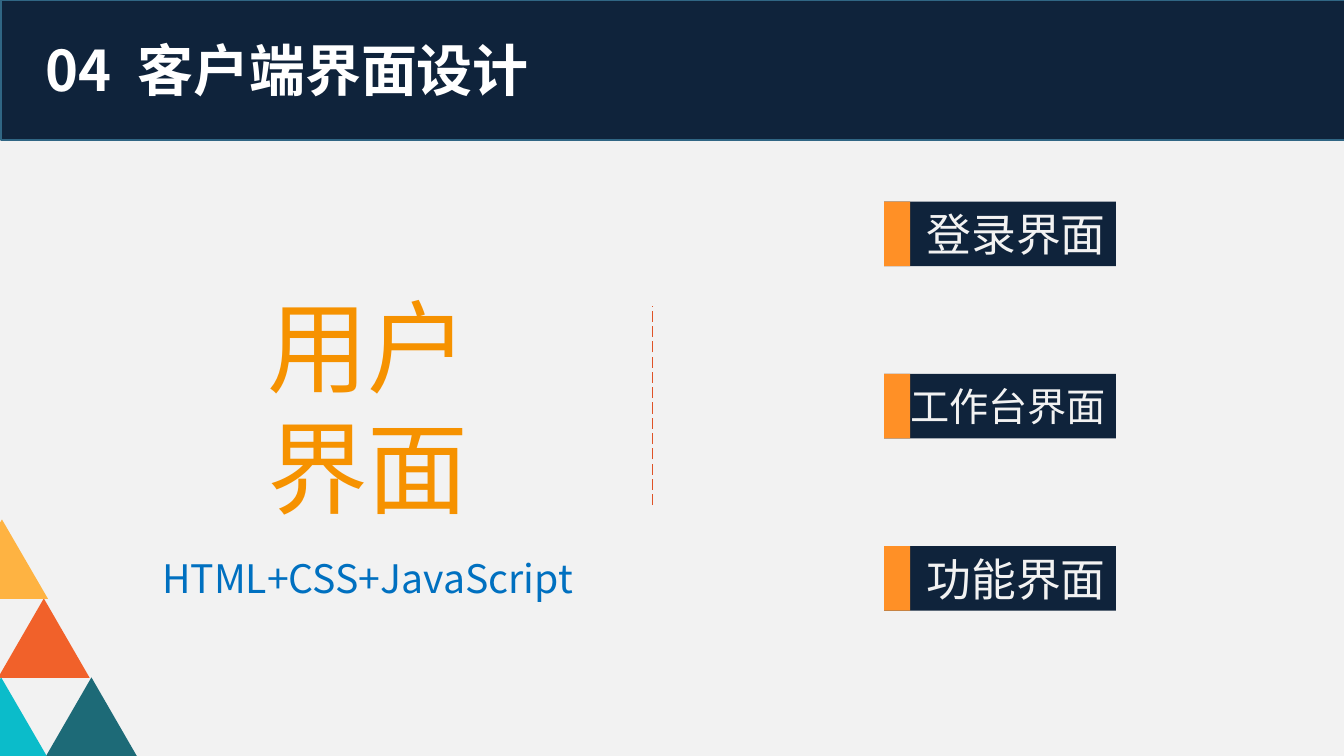
"""Builds the slide on client interface design."""
from lxml.etree import SubElement
from pptx import Presentation
from pptx.dml.color import RGBColor
from pptx.enum.dml import MSO_LINE_DASH_STYLE as Dash
from pptx.enum.shapes import MSO_CONNECTOR as Connector, MSO_SHAPE as Shape
from pptx.enum.text import MSO_ANCHOR as Anchor, PP_ALIGN as Align
from pptx.oxml.ns import qn
from pptx.util import Cm, Pt

COLORS = {
    "paper": "F2F2F2", "navy": "0F233B", "rim": "306684", "pine": "1D6A77",
    "red": "F1612A", "cyan": "0BBCCA", "yellow": "FEB342", "headline": "F69200",
    "divider": "DF5327", "tab": "FF9026", "white": "FFFFFF", "blue": "0070C0",
}
FONT = "Noto Sans CJK SC"


def color(name):
    return RGBColor.from_string(COLORS[name])


class SlideBuilder:
    def __init__(self, slide):
        self.slide = slide
        self.shapes = slide.shapes

    def background(self, fill):
        self.slide.background.fill.solid()
        self.slide.background.fill.fore_color.rgb = color(fill)

    def paint(self, shape, fill, rim=None):
        shape.shadow.inherit = False
        shape.fill.solid()
        shape.fill.fore_color.rgb = color(fill)
        if rim:
            shape.line.color.rgb = color(rim)
            shape.line.width = Pt(1)
        else:
            shape.line.fill.background()
        return shape

    def shape(self, kind, left, top, width, height, fill, rim=None, parent=None):
        shapes = parent.shapes if parent else self.shapes
        shape = shapes.add_shape(kind, Cm(left), Cm(top), Cm(width), Cm(height))
        return self.paint(shape, fill, rim)

    def cut_triangle(self, left, top, height, fill):
        bottom = top + height
        corners = [(left + 1.24, bottom), (left + 0.08, top), (left, top + 0.13)]
        builder = self.shapes.build_freeform(Cm(left), Cm(bottom))
        builder.add_line_segments([(Cm(x), Cm(y)) for x, y in corners])
        self.paint(builder.convert_to_shape(), fill)

    def style(self, para, size, ink, bold=False):
        for span in para.runs:
            span.font.name = FONT
            span.font.size = Pt(size)
            span.font.bold = bold
            span.font.color.rgb = color(ink)
            SubElement(span.font._element, qn("a:ea"), typeface=FONT)

    def text(self, left, top, width, height, spans, size, ink, bold=False):
        box = self.shapes.add_textbox(Cm(left), Cm(top), Cm(width), Cm(height))
        box.text_frame.word_wrap = True
        para = box.text_frame.paragraphs[0]
        for words in spans:
            para.add_run().text = words
        self.style(para, size, ink, bold)
        return para

    def label(self, left, top, words, size):
        group = self.shapes.add_group_shape()
        bar = self.shape(Shape.RECTANGLE, left, top, 5.84, 1.63, "navy", parent=group)
        self.shape(Shape.RECTANGLE, left, top, 0.66, 1.63, "tab", parent=group)
        frame = bar.text_frame
        frame.word_wrap = True
        frame.vertical_anchor = Anchor.MIDDLE
        frame.text = words
        frame.paragraphs[0].alignment = Align.RIGHT
        self.style(frame.paragraphs[0], size, "paper")

    def divider(self, x, top, bottom):
        line = self.shapes.add_connector(Connector.STRAIGHT, Cm(x), Cm(bottom), Cm(x), Cm(top))
        line.line.color.rgb = color("divider")
        line.line.width = Pt(1)
        line.line.dash_style = Dash.LONG_DASH
        SubElement(line._element.spPr, qn("a:effectLst"))


def main():
    deck = Presentation()
    deck.slide_width, deck.slide_height = Cm(33.87), Cm(19.05)
    page = SlideBuilder(deck.slides.add_slide(deck.slide_layouts[6]))
    page.background("paper")
    page.shape(Shape.RECTANGLE, 0.03, 0, 33.86, 3.53, "navy", "rim")

    side = 2
    row_tops = [13.09 + 1.99 * row for row in range(3)]
    page.shape(Shape.ISOSCELES_TRIANGLE, 1.15, row_tops[2], 2.31, side, "pine")
    page.shape(Shape.ISOSCELES_TRIANGLE, -0.05, row_tops[1], 2.31, side, "red")
    page.cut_triangle(-0.05, row_tops[2], side, "cyan")
    page.cut_triangle(-0.03, row_tops[0], side, "yellow")

    page.text(6.48, 7.04, 5.79, 6.4, ["用户界面"], 72, "headline")
    page.divider(16.44, 7.72, 12.73)
    labels = [("登录界面", 32), ("工作台界面", 28), ("功能界面", 32)]
    for row, (words, size) in enumerate(labels):
        page.label(22.28, 5.08 + 4.34 * row, words, size)

    title = page.text(0.91, 0.76, 13.31, 1.96, ["04", " ", "客户端界面设计"], 40, "white", True)
    title.runs[1].font._element.set("spc", "900")
    page.text(3.84, 13.84, 11.58, 1.45, ["HTML+CSS+JavaScript"], 28, "blue")
    deck.save("out.pptx")


if __name__ == "__main__":
    main()
